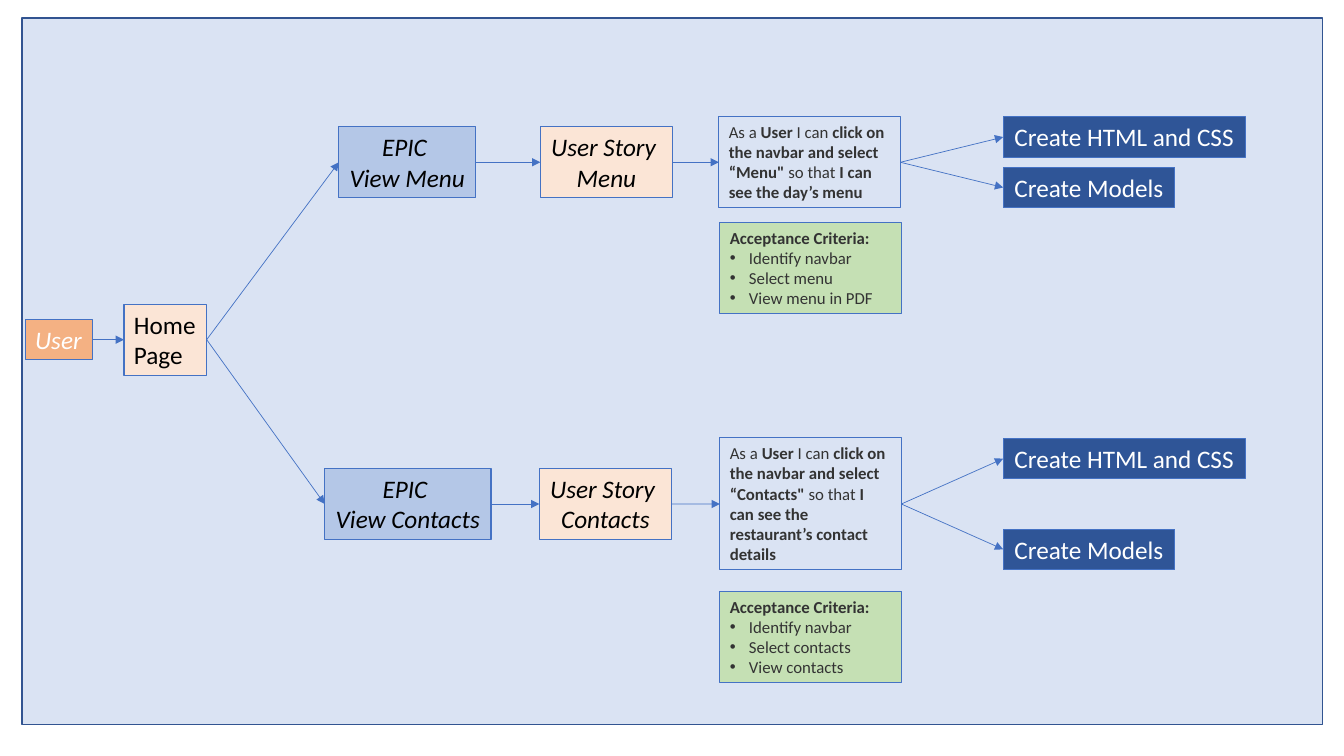
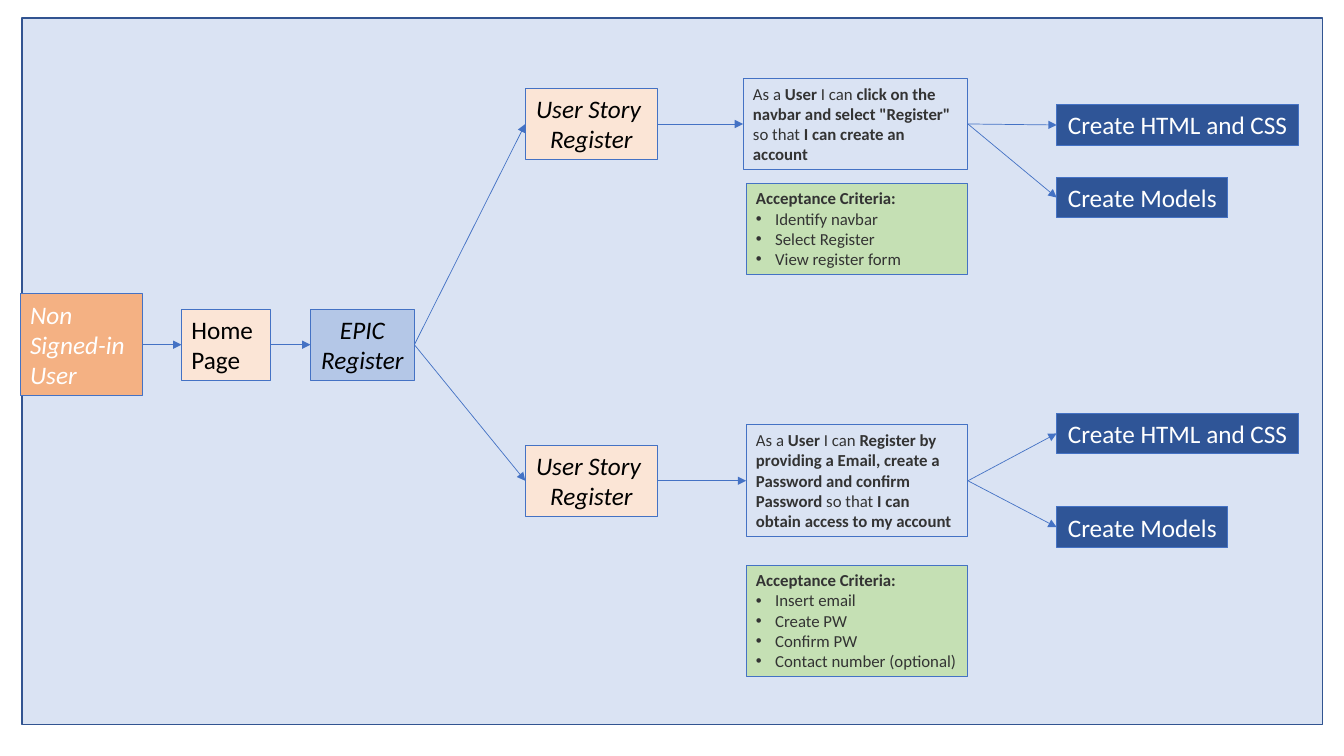
from dataclasses import dataclass

from lxml import etree
from pptx import Presentation
from pptx.dml.color import RGBColor
from pptx.enum.shapes import MSO_CONNECTOR as Conn, MSO_SHAPE as Shape
from pptx.enum.text import MSO_ANCHOR as Anchor, MSO_AUTO_SIZE as AutoSize, PP_ALIGN as Align
from pptx.oxml.ns import qn
from pptx.util import Emu, Inches, Pt

SLIDE_W, SLIDE_H = Inches(13.33), Inches(7.5)
GRID_ROWS = 75
CELL = SLIDE_H / GRID_ROWS  # square cells, used for columns and rows
PADDING = 1  # top and bottom insets together, in rows
PITCH = 0.168  # rows per text line and point of size
BULLET_INDENT = Inches(0.19)
FONT = "Calibri"
RIGHT, LEFT = 3, 1

COLORS = {
    "panel": "DAE3F3", "panel_line": "325491", "line": "4472C4",
    "orange": "F4B183", "peach": "FBE5D6", "blue": "B4C7E7",
    "navy": "2F5597", "green": "C5E0B4",
    "white": "FFFFFF", "black": "000000", "gray": "333333",
}


@dataclass(frozen=True)
class Kind:
    fill: str | None
    ink: str
    size: int = 18
    italic: bool = False
    align: Align = Align.LEFT
    wrap: bool = False
    bullets: bool = False


KINDS = {
    "user": Kind("orange", "white", italic=True),
    "page": Kind("peach", "black"),
    "epic": Kind("blue", "black", italic=True, align=Align.CENTER),
    "story": Kind("peach", "black", italic=True, align=Align.CENTER),
    "detail": Kind(None, "gray", size=12, wrap=True),
    "criteria": Kind("green", "gray", size=12, wrap=True, bullets=True),
    "task": Kind("navy", "white", align=Align.CENTER),
}


@dataclass(frozen=True)
class Box:
    """Text uses a line break per paragraph and asterisks around bold words."""
    kind: str
    left: float
    width: float
    text: str
    lines: int = 0  # line count when the text wraps


@dataclass(frozen=True)
class Lane:
    mid: float
    chain: list[Box]
    criteria: Box
    criteria_mid: float
    task_mids: tuple[float, float]


@dataclass(frozen=True)
class Flow:
    mid: float
    trunk: list[Box]
    lanes: list[Lane]
    task_left: float


TASKS = (("Create HTML and CSS", 24), ("Create Models", 17))


def criteria(left: float, width: float, *items: str) -> Box:
    return Box("criteria", left, width, "\n".join(("*Acceptance Criteria:*", *items)))


FLOWS = [
    Flow(33.7, [Box("user", 2.5, 6.7, "User"), Box("page", 12.3, 8.2, "Home\nPage")], [
        Lane(16.1, [
            Box("epic", 33.6, 13.6, "EPIC \nView Menu"),
            Box("story", 53.6, 13.1, "User Story \nMenu"),
            Box("detail", 71.3, 18, "As a *User *I can *click on the navbar and select “Menu\"*"
                " so that *I can see the day’s menu*", 4),
        ], criteria(71.4, 18, "Identify navbar", "Select menu", "View menu in PDF"),
            26.6, (13.6, 18.6)),
        Lane(50, [
            Box("epic", 32.2, 16.5, "EPIC \nView Contacts"),
            Box("story", 53.5, 13.1, "User Story \nContacts"),
            Box("detail", 71.4, 18, "As a *User *I can *click on the navbar and select “Contacts\"*"
                " so that *I can see the restaurant’s contact details*", 6),
        ], criteria(71.4, 18, "Identify navbar", "Select contacts", "View contacts"),
            63.2, (45.5, 54.5)),
    ], 99.5),
    Flow(34.2, [Box("user", 2, 12.1, "Non\nSigned-in\nUser"),
                Box("page", 18, 8.8, "Home\nPage"),
                Box("epic", 30.8, 10.3, "EPIC\nRegister")], [
        Lane(12.3, [
            Box("story", 52.1, 13.1, "User Story \nRegister"),
            Box("detail", 73.7, 22.3, "As a *User* I can *click on the navbar and select \"Register\"*"
                " so that *I can create an account*", 4),
        ], criteria(74, 22, "Identify navbar", "Select Register", "View register form"),
            22.7, (12.4, 19.6)),
        Lane(47.7, [
            Box("story", 52.1, 13.1, "User Story \nRegister"),
            Box("detail", 74, 22, "As a *User* I can *Register by providing a Email, create a"
                " Password and confirm Password *so that *I can obtain access to my account*", 5),
        ], criteria(74, 22, "Insert email", "Create PW", "Confirm PW",
                    "Contact number (optional)"),
            61.6, (43, 52.3)),
    ], 104.8),
]


def cells(n: float) -> Emu:
    return Emu(round(n * CELL))


def rgb(name: str) -> RGBColor:
    return RGBColor.from_string(COLORS[name])


def add_rect(slide, left: float, top: float, width: float, height: float,
             fill: str | None, line: str, weight: float):
    sp = slide.shapes.add_shape(Shape.RECTANGLE, *map(cells, (left, top, width, height)))
    sp.shadow.inherit = False
    if fill:
        sp.fill.solid()
        sp.fill.fore_color.rgb = rgb(fill)
    else:
        sp.fill.background()
    sp.line.color.rgb = rgb(line)
    sp.line.width = Pt(weight)
    return sp


def add_bullet(p) -> None:
    pPr = p._p.get_or_add_pPr()
    pPr.set("marL", str(BULLET_INDENT))
    pPr.set("indent", str(-BULLET_INDENT))
    etree.SubElement(pPr, qn("a:buFont")).set("typeface", "Arial")
    etree.SubElement(pPr, qn("a:buChar")).set("char", "•")


def add_box(slide, box: Box, mid: float):
    """Draw a box as tall as its text, centred on row mid."""
    kind = KINDS[box.kind]
    paragraphs = box.text.split("\n")
    height = PADDING + PITCH * kind.size * (box.lines or len(paragraphs))
    sp = add_rect(slide, box.left, mid - height / 2, box.width, height, kind.fill, "line", 0.75)
    tf = sp.text_frame
    tf.word_wrap = kind.wrap
    tf.auto_size = AutoSize.SHAPE_TO_FIT_TEXT
    tf.vertical_anchor = Anchor.TOP
    for i, text in enumerate(paragraphs):
        p = tf.add_paragraph() if i else tf.paragraphs[0]
        p.alignment = kind.align
        if kind.bullets and i:
            add_bullet(p)
        for j, part in enumerate(text.split("*")):
            if not part:
                continue
            r = p.add_run()
            r.text = part
            r.font.name = FONT
            r.font.size = Pt(kind.size)
            r.font.bold = j % 2 == 1
            r.font.italic = kind.italic
            r.font.color.rgb = rgb(kind.ink)
    return sp


def add_arrow(slide, start, end) -> None:
    line = slide.shapes.add_connector(Conn.STRAIGHT, 0, 0, 0, 0)
    line.begin_connect(start, RIGHT)
    line.end_connect(end, LEFT)
    line.line.color.rgb = rgb("line")
    line.line.width = Pt(0.5)
    etree.SubElement(line.line._get_or_add_ln(), qn("a:tailEnd")).set("type", "triangle")
    etree.SubElement(line._element.spPr, qn("a:effectLst"))


def add_chain(slide, boxes: list[Box], mid: float, previous=None):
    """Draw boxes joined by arrows and return the last one."""
    for box in boxes:
        sp = add_box(slide, box, mid)
        if previous is not None:
            add_arrow(slide, previous, sp)
        previous = sp
    return previous


def add_flow(prs, flow: Flow) -> None:
    slide = prs.slides.add_slide(prs.slide_layouts[6])
    add_rect(slide, 2.2, 1.8, 129, 70.1, "panel", "panel_line", 1)
    root = add_chain(slide, flow.trunk, flow.mid)
    for lane in flow.lanes:
        detail = add_chain(slide, lane.chain, lane.mid, root)
        add_box(slide, lane.criteria, lane.criteria_mid)
        for (text, width), mid in zip(TASKS, lane.task_mids):
            add_chain(slide, [Box("task", flow.task_left, width, text)], mid, detail)


def main() -> None:
    prs = Presentation()
    prs.slide_width, prs.slide_height = SLIDE_W, SLIDE_H
    for flow in FLOWS:
        add_flow(prs, flow)
    prs.save("out.pptx")


if __name__ == "__main__":
    main()
